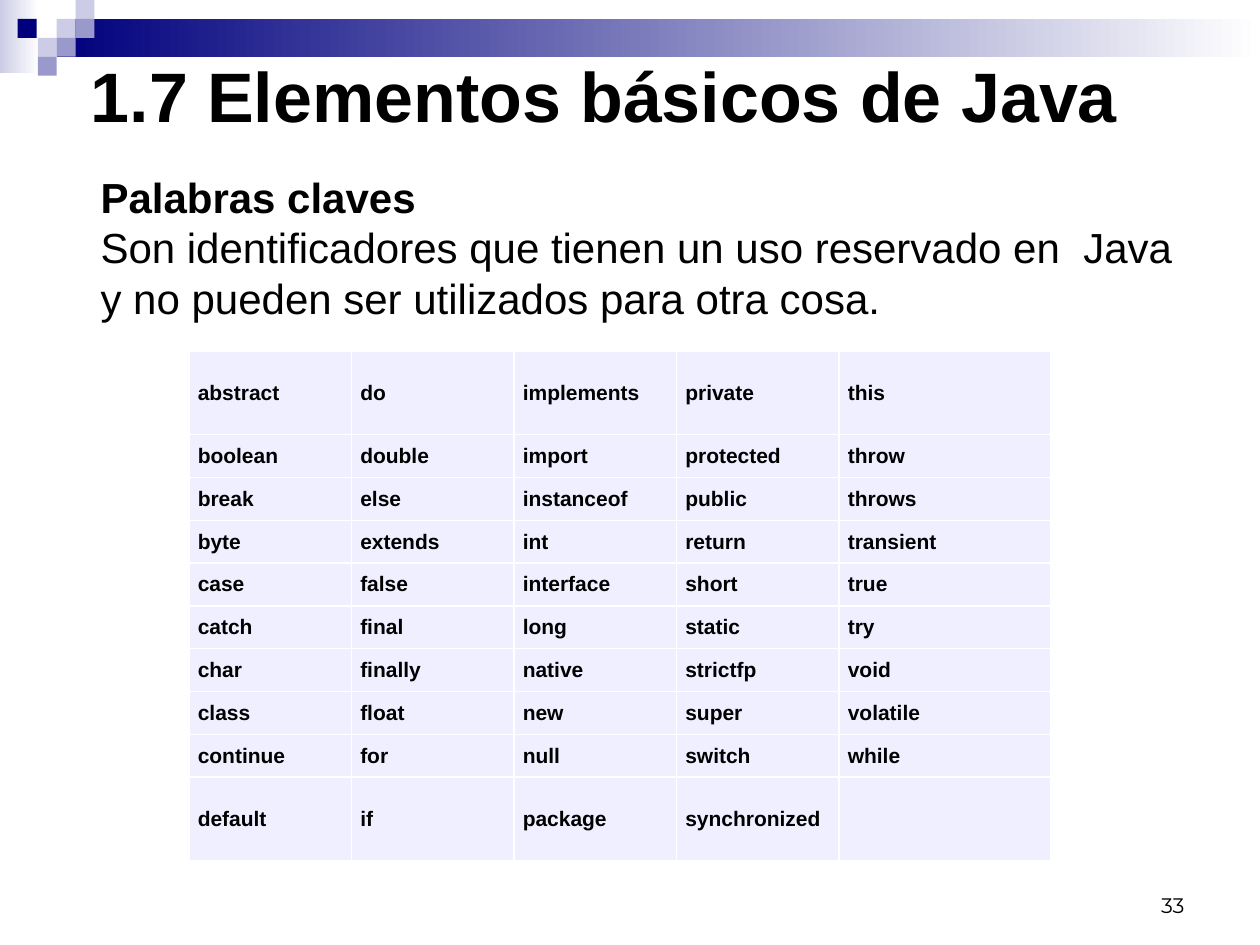
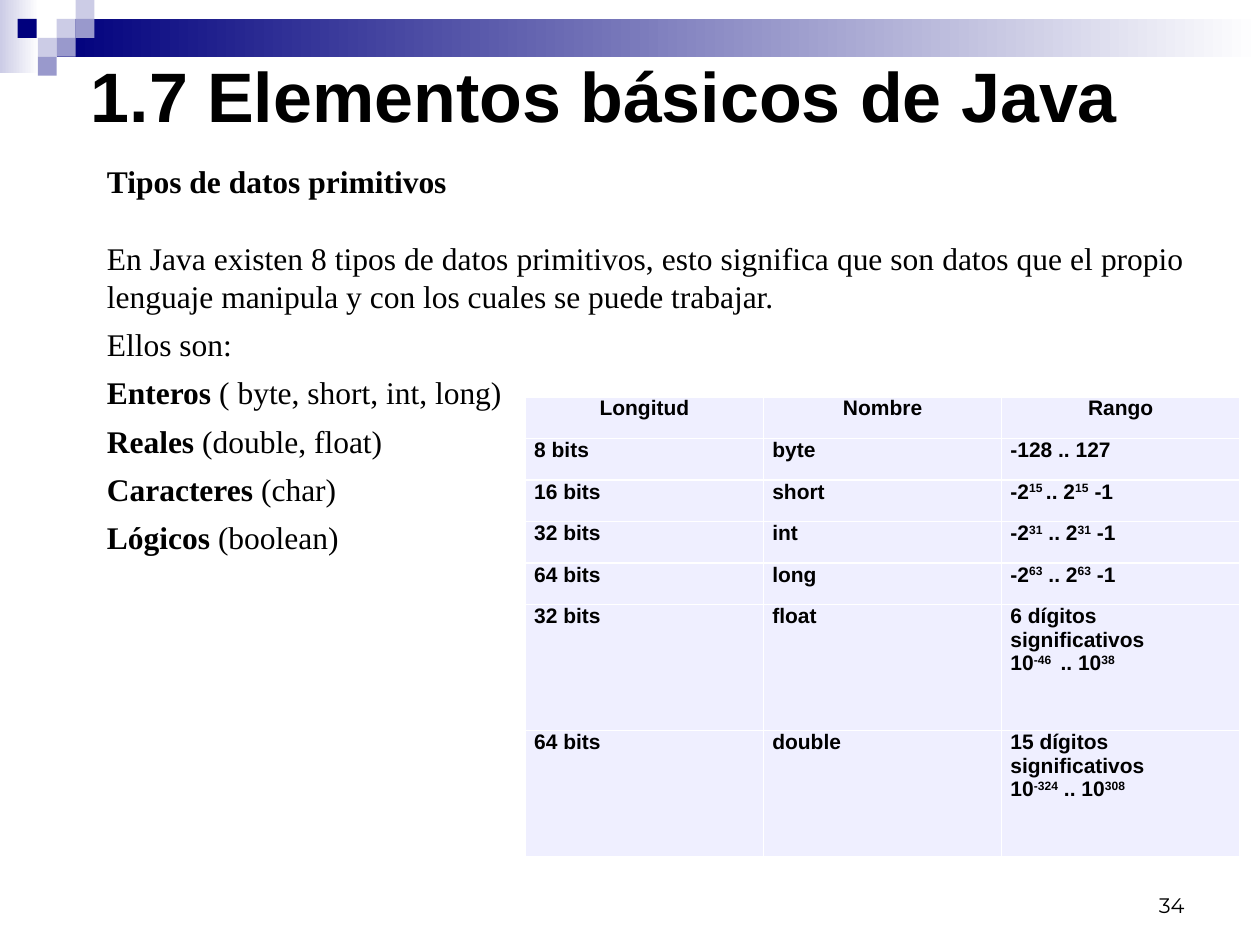
import pptx
import pptx.dml.color
import pptx.enum.shapes
import pptx.enum.text
import pptx.oxml
import pptx.oxml.ns
import pptx.util

Inches = pptx.util.Inches
Pt = pptx.util.Pt
ALIGN = pptx.enum.text.PP_ALIGN
ANCHOR = pptx.enum.text.MSO_ANCHOR

# Content: *bold* and ^raised^ mark parts of a line
TITLE = "1.7 Elementos básicos de Java"

WORDS = [
    "abstract do implements private this",
    "boolean double import protected throw",
    "break else instanceof public throws",
    "byte extends int return transient",
    "case false interface short true",
    "catch final long static try",
    "char finally native strictfp void",
    "class float new super volatile",
    "continue for null switch while",
    "default if package synchronized",
]
KEYS = [
    "*Palabras claves*",
    "Son identificadores que tienen un uso reservado en  Java "
    "y no pueden ser utilizados para otra cosa.",
]

TYPES = [
    ("Longitud", "Nombre", "Rango"),
    ("8 bits", "byte", "-128 .. 127"),
    ("16 bits", "short", "-2^15 ^.. 2^15^ -1"),
    ("32 bits", "int", "-2^31^ .. 2^31^ -1"),
    ("64 bits", "long", "-2^63^ .. 2^63^ -1"),
    ("32 bits", "float", "6 dígitos significativos\n10^-46 ^ .. 10^38^"),
    ("64 bits", "double", "15 dígitos significativos\n10^-324^ .. 10^308^"),
]
INTRO = [
    "*Tipos de datos primitivos*",
    "En Java existen 8 tipos de datos primitivos, esto significa que son datos "
    "que el propio lenguaje manipula y con los cuales se puede trabajar.",
]
KINDS = [
    "Ellos son:",
    "*Enteros *( byte, short, int, long)",
    "*Reales *(double, float)",
    "*Caracteres *(char)",
    "*Lógicos *(boolean)",
]

# Shared look
NAVY, MID, PALE, WHITE = "00007D", "9999CC", "CCCCE6", "FFFFFF"
BLACK, CELL = "000000", "EFEFFF"
SIDE = 0.15
BANDS = [  # left, top, width, height, first colour
    (0, 0, 0.31, 0.58, PALE),
    (0.45, 0.15, 9.55, 0.3, NAVY),
]
TILES = [  # left, top, colour
    (0.45, 0.15, PALE), (0.6, 0, PALE), (0.6, 0.15, MID), (0.3, 0.3, PALE),
    (0.14, 0.15, NAVY), (0.45, 0.3, MID), (0.3, 0.45, MID),
]


def color(code):
    return pptx.dml.color.RGBColor.from_string(code)


def write(para, text, size, font="Arial", bold=False):
    """Add one line, run by run, following its marks."""
    for i, part in enumerate(text.split("*")):
        for j, piece in enumerate(part.split("^")):
            if not piece:
                continue
            run = para.add_run()
            run.text = piece
            run.font.size = Pt(size)
            run.font.name = font
            run.font.bold = bold or i % 2 == 1
            run.font.color.rgb = color(BLACK)
            if j % 2:
                run._r.get_or_add_rPr().set("baseline", "30000")


def fill_text(frame, lines, size, font="Arial", bold=False):
    for i, line in enumerate(lines):
        para = frame.add_paragraph() if i else frame.paragraphs[0]
        write(para, line, size, font, bold)
    return frame.paragraphs


def add_text(slide, box, lines, size, font="Arial", anchor=ANCHOR.TOP):
    frame = slide.shapes.add_textbox(*map(Inches, box)).text_frame
    frame.word_wrap = True
    frame.vertical_anchor = anchor
    return fill_text(frame, lines, size, font)


def add_rect(slide, left, top, width, height):
    shape = slide.shapes.add_shape(
        pptx.enum.shapes.MSO_SHAPE.RECTANGLE,
        *map(Inches, (left, top, width, height)))
    shape.shadow.inherit = False
    shape.line.fill.background()
    return shape


def dress(layout, slide):
    """Draw the bands and tiles once and hand them to the layout."""
    parts = []
    for *box, code in BANDS:
        band = add_rect(slide, *box)
        band.fill.gradient()
        band.fill.gradient_angle = 0
        for stop, tone in zip(band.fill.gradient_stops, (code, WHITE)):
            stop.color.rgb = color(tone)
            stop.position = 0 if tone == code else 1
        parts.append(band)
    for left, top, code in TILES:
        tile = add_rect(slide, left, top, SIDE, SIDE)
        tile.fill.solid()
        tile.fill.fore_color.rgb = color(code)
        parts.append(tile)
    for i, part in enumerate(parts):
        part.element.xpath(".//p:cNvPr")[0].set("id", str(20 + i))
        layout.shapes.element.insert(2 + i, part.element)


def start(deck, layout, number):
    """Add a slide with its title and number."""
    slide = deck.slides.add_slide(layout)
    title = slide.shapes.title
    title.left, title.top, title.width, title.height = map(
        Inches, (0.62, 0, 9, 1.5))
    frame = title.text_frame
    frame.auto_size = pptx.enum.text.MSO_AUTO_SIZE.NONE
    frame.vertical_anchor = ANCHOR.MIDDLE
    fill_text(frame, [TITLE], 40, bold=True)[0].alignment = ALIGN.LEFT
    line = add_text(slide, (7.17, 6.83, 2.33, 0.5), [str(number)], 12,
                    "Montserrat", ANCHOR.BOTTOM)[0]
    line.alignment = ALIGN.RIGHT
    return slide


def edge(cell):
    """Give a cell thin white borders, ahead of its fill."""
    props = cell._tc.get_or_add_tcPr()
    for i, side in enumerate(("lnL", "lnR", "lnT", "lnB")):
        props.insert(i, pptx.oxml.parse_xml(
            f'<a:{side} {pptx.oxml.ns.nsdecls("a")} w="12700"><a:solidFill>'
            f'<a:srgbClr val="{WHITE}"/></a:solidFill></a:{side}>'))


def add_grid(slide, left, top, cols, rows, data, anchor):
    table = slide.shapes.add_table(
        len(rows), len(cols),
        *map(Inches, (left, top, sum(cols), sum(rows)))).table
    table.first_row = table.horz_banding = False
    for col, width in zip(table.columns, cols):
        col.width = Inches(width)
    for row, height, texts in zip(table.rows, rows, data):
        row.height = Inches(height)
        for cell in row.cells:
            cell.fill.solid()
            cell.fill.fore_color.rgb = color(CELL)
            cell.margin_left = cell.margin_right = Inches(0.07)
            cell.margin_top = cell.margin_bottom = 0
            cell.vertical_anchor = anchor
            edge(cell)
        for cell, text in zip(row.cells, texts):
            fill_text(cell.text_frame, text.split("\n"), 12, bold=True)
    return table


def main():
    deck = pptx.Presentation()
    deck.slide_width, deck.slide_height = Inches(10), Inches(7.5)
    layout = deck.slide_layouts[5]

    # Keywords
    slide = start(deck, layout, 33)
    dress(layout, slide)
    add_text(slide, (0.7, 1.31, 8.84, 1.3), KEYS, 24)
    add_grid(slide, 1.5, 2.79, [1.29] * 4 + [1.68],
             [0.66] + [0.34] * 8 + [0.66],
             [line.split() for line in WORDS], ANCHOR.MIDDLE)

    # Primitive types
    slide = start(deck, layout, 34)
    lines = add_text(slide, (0.75, 1.24, 8.75, 3.25), INTRO + KINDS, 18,
                     "Times New Roman")
    lines[0].space_after = Pt(22)
    lines[1].alignment = ALIGN.JUSTIFY
    for line in lines[len(INTRO):]:
        line.space_before = Pt(6)
    table = add_grid(slide, 4.17, 3.15, [1.89] * 3, [0.33] * 5 + [1] * 2,
                     TYPES, ANCHOR.TOP)
    for cell in table.rows[0].cells:
        cell.text_frame.paragraphs[0].alignment = ALIGN.CENTER

    deck.save("out.pptx")


if __name__ == "__main__":
    main()
